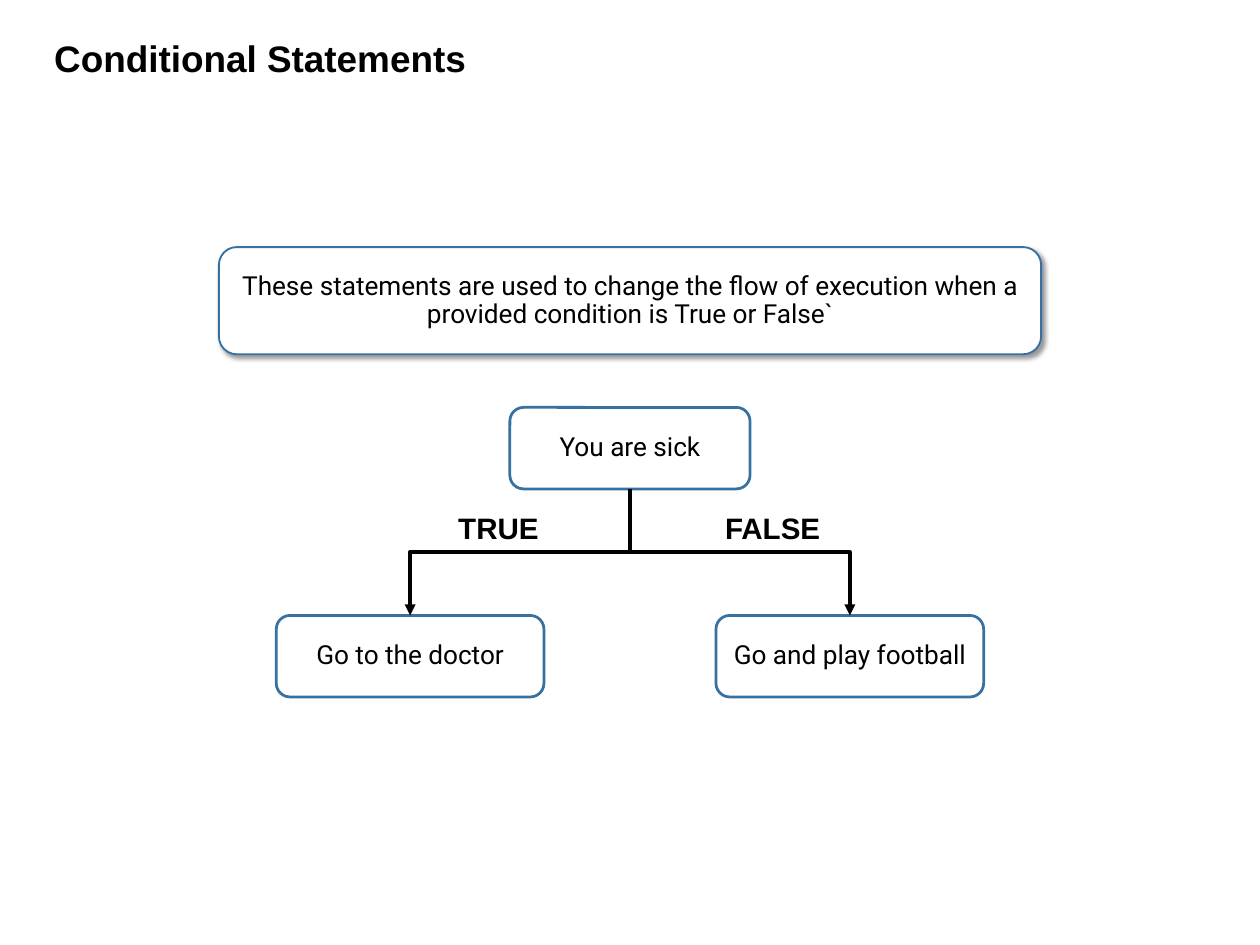
import pptx
import pptx.dml.color
import pptx.enum.shapes
import pptx.enum.text
import pptx.oxml
import pptx.oxml.ns
import pptx.util

WIDTH, HEIGHT = 14.22, 10.67
MID = 50            # the grid has 100 columns; rows are as tall as columns are wide
SIDE = 17.45        # from the middle to the centre of each branch
BOX_ROWS = 6.47
BLACK, WHITE, BLUE = "000000", "FFFFFF", "3771A1"
ALIGN = pptx.enum.text.PP_ALIGN
ANCHOR = pptx.enum.text.MSO_ANCHOR


def grid(*units):
    return [pptx.util.Inches(unit * WIDTH / 100) for unit in units]


def paint(target, color):
    target.rgb = pptx.dml.color.RGBColor.from_string(color)


def add_xml(parent, body):
    head, tail = body.split(" ", 1) if " " in body else (body[:-2], "/>")
    space = pptx.oxml.ns.nsdecls("a")
    parent.append(pptx.oxml.parse_xml(f"{head} {space} {tail}"))


def write(frame, text, size, font, bold=False, align=ALIGN.CENTER, anchor=ANCHOR.MIDDLE):
    frame.word_wrap = True
    frame.vertical_anchor = anchor
    para = frame.paragraphs[0]
    para.alignment = align
    para.line_spacing = 0.9
    para.space_before = pptx.util.Pt(0)
    run = para.add_run()
    run.text = text
    run.font.size = pptx.util.Pt(size)
    run.font.name = font
    run.font.bold = bold
    paint(run.font.color, BLACK)


def add_title(slide, text):
    title = slide.shapes.title
    title.left, title.top, title.width, title.height = grid(3.59, 2.88, 36.57, 3.94)
    write(title.text_frame, text, 30, "Arial", True, ALIGN.LEFT, ANCHOR.TOP)
    title.text_frame.auto_size = pptx.enum.text.MSO_AUTO_SIZE.NONE


def add_box(slide, text, mid, top, cols, rows=BOX_ROWS, weight=2.25):
    kind = pptx.enum.shapes.MSO_SHAPE.ROUNDED_RECTANGLE
    box = slide.shapes.add_shape(kind, *grid(mid - cols / 2, top, cols, rows))
    box.shadow.inherit = False
    box.fill.solid()
    paint(box.fill.fore_color, WHITE)
    paint(box.line.color, BLUE)
    box.line.width = pptx.util.Pt(weight)
    write(box.text_frame, text, 21.3, "Roboto")
    return box


def add_shade(box):
    effects = box._element.spPr.find(pptx.oxml.ns.qn("a:effectLst"))
    add_xml(effects, '<a:outerShdw blurRad="50800" dist="38100" dir="2700000" algn="tl" '
                     'rotWithShape="0"><a:srgbClr val="000000"><a:alpha val="40000"/>'
                     '</a:srgbClr></a:outerShdw>')


def add_label(slide, text, mid, cols):
    label = slide.shapes.add_textbox(*grid(mid - cols / 2, 40.5, cols, 3.23))
    write(label.text_frame, text, 24, "Arial", True, anchor=ANCHOR.TOP)


def add_elbow(slide, start, end, right):
    kind = pptx.enum.shapes.MSO_CONNECTOR.ELBOW
    link = slide.shapes.add_connector(kind, 0, 0, 0, 0)
    link.begin_connect(start, 2)
    link.end_connect(end, 0)
    # Turn the elbow about its centre so that it leaves downwards
    shift = (link.width - link.height) // 2
    link.left, link.top = link.left + shift, link.top - shift
    link.width, link.height = link.height, link.width
    frame = link._element.spPr.find(pptx.oxml.ns.qn("a:xfrm"))
    frame.set("rot", str((270 if right else 90) * 60000))
    frame.set("flipH", "1" if right else "0")
    paint(link.line.color, BLACK)
    link.line.width = pptx.util.Pt(3)
    add_xml(link.line._get_or_add_ln(), '<a:tailEnd type="triangle"/>')
    add_xml(link._element.spPr, "<a:effectLst/>")


def main():
    deck = pptx.Presentation()
    deck.slide_width = pptx.util.Inches(WIDTH)
    deck.slide_height = pptx.util.Inches(HEIGHT)
    slide = deck.slides.add_slide(deck.slide_layouts[5])

    # Title and definition
    add_title(slide, "Conditional Statements")
    note = add_box(slide, "These statements are used to change the flow of execution "
                   "when a provided condition is True or False`",
                   MID, 19.62, 65.26, 8.51, 1.5)
    add_shade(note)

    # Condition and its two outcomes
    test = add_box(slide, "You are sick", MID, 32.35, 19.06)
    branches = [
        ("Go to the doctor", MID - SIDE, "TRUE", 39.56, 10.62),
        ("Go and play football", MID + SIDE, "FALSE", 61.32, 12.38),
    ]
    for text, mid, name, spot, cols in branches:
        result = add_box(slide, text, mid, 48.87, 21.24)
        add_elbow(slide, test, result, mid > MID)
        add_label(slide, name, spot, cols)

    deck.save("out.pptx")


if __name__ == "__main__":
    main()
